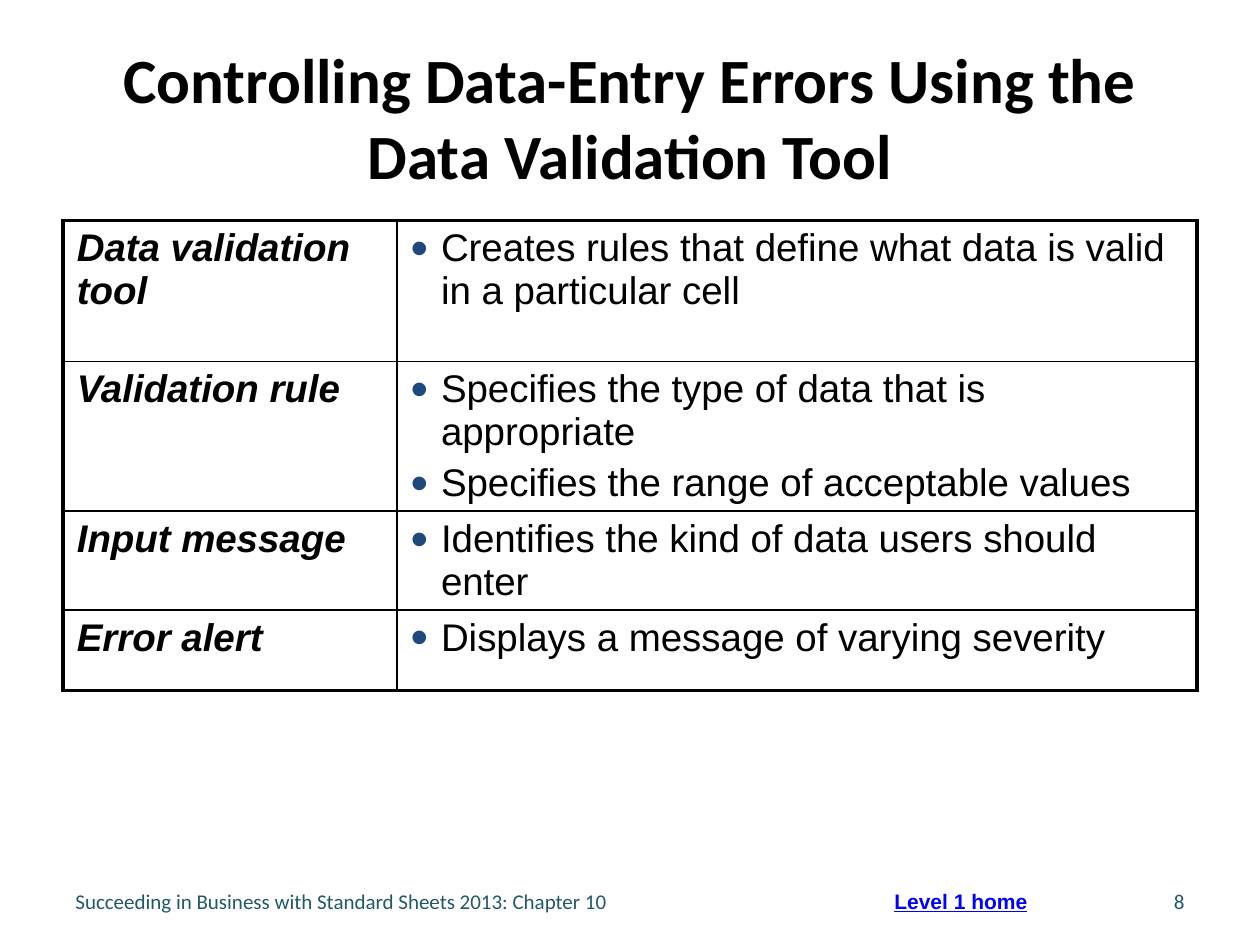
from dataclasses import dataclass

from lxml import etree
from pptx import Presentation
from pptx import util as u
from pptx.dml.color import RGBColor
from pptx.enum import text
from pptx.oxml import ns

# Content
TITLE = "Controlling Data-Entry Errors Using the Data Validation Tool"
TERMS = [
    ("Data validation tool",
     ["Creates rules that define what data is valid in a particular cell"]),
    ("Validation rule",
     ["Specifies the type of data that is appropriate",
      "Specifies the range of acceptable values"]),
    ("Input message", ["Identifies the kind of data users should enter"]),
    ("Error alert", ["Displays a message of varying severity"]),
]
FOOTER = "Succeeding in Business with Standard Sheets 2013: Chapter 10"
PAGE_NUMBER = "8"
HOME_LABEL = "Level 1 home"


@dataclass(frozen=True)
class Theme:
    ink: str = "000000"
    paper: str = "FFFFFF"
    bullet: str = "1F497D"
    footer: str = "215968"
    link: str = "0000FF"
    heading_font: str = "Calibri"
    body_font: str = "Arial"
    title_size: int = 36
    body_size: int = 22
    small_size: int = 12
    outer_rule: float = 2.25
    inner_rule: float = 1


THEME = Theme()

# Grid, in inches
WIDTH, HEIGHT, MARGIN = 10, 7.5, 0.5
CONTENT = WIDTH - 2 * MARGIN
TABLE_TOP = 1.75
TERM_COLUMN = 2.65
COLUMNS = [TERM_COLUMN, CONTENT - TERM_COLUMN]
ROWS = [1.12, 1.12, 0.57, 0.64]
FOOTER_TOP, FOOTER_HEIGHT = 6.95, 0.4
INDENT = 0.24


def add_run(paragraph, words, font, size, color, bold=False, italic=False, underline=False):
    run = paragraph.add_run()
    run.text = words
    run.font.name, run.font.size = font, u.Pt(size)
    run.font.bold, run.font.italic, run.font.underline = bold, italic, underline
    run.font.color.rgb = RGBColor.from_string(color)


def add_label(slide, box, words, anchor=text.MSO_ANCHOR.MIDDLE,
              align=text.PP_ALIGN.LEFT, **style):
    frame = slide.shapes.add_textbox(*map(u.Inches, box)).text_frame
    frame.word_wrap = True
    frame.vertical_anchor = anchor
    frame.paragraphs[0].alignment = align
    add_run(frame.paragraphs[0], words, size=THEME.small_size, **style)


def add_bullet(paragraph):
    props = paragraph._p.get_or_add_pPr()
    props.set("marL", str(u.Inches(INDENT)))
    props.set("indent", str(-u.Inches(INDENT)))
    color = etree.SubElement(props, ns.qn("a:buClr"))
    etree.SubElement(color, ns.qn("a:srgbClr"), val=THEME.bullet)
    etree.SubElement(props, ns.qn("a:buSzPct"), val="130000")
    etree.SubElement(props, ns.qn("a:buFont"), typeface=THEME.body_font)
    etree.SubElement(props, ns.qn("a:buChar"), char="•")


def set_borders(cell, outer_sides):
    props = cell._tc.get_or_add_tcPr()
    for position, side in enumerate("LRTB"):
        weight = THEME.outer_rule if side in outer_sides else THEME.inner_rule
        line = etree.Element(ns.qn(f"a:ln{side}"), w=str(u.Pt(weight)))
        fill = etree.SubElement(line, ns.qn("a:solidFill"))
        etree.SubElement(fill, ns.qn("a:srgbClr"), val=THEME.ink)
        props.insert(position, line)


def fill_cell(cell, lines, is_term):
    cell.fill.background()
    cell.margin_left = cell.margin_right = u.Inches(0.11)
    cell.margin_top = cell.margin_bottom = u.Inches(0.05)
    frame = cell.text_frame
    for number, words in enumerate(lines):
        paragraph = frame.add_paragraph() if number else frame.paragraphs[0]
        paragraph.space_before = u.Pt(THEME.body_size * 0.2)
        if not is_term:
            add_bullet(paragraph)
        add_run(paragraph, words, THEME.body_font, THEME.body_size, THEME.ink,
                bold=is_term, italic=is_term)


def add_title(slide):
    title = slide.shapes.title
    title.left, title.top, title.width, title.height = map(
        u.Inches, (MARGIN, 0.3, CONTENT, 1.25))
    title.fill.solid()
    title.fill.fore_color.rgb = RGBColor.from_string(THEME.paper)
    title.line.fill.background()
    frame = title.text_frame
    frame.word_wrap = True
    frame.auto_size = text.MSO_AUTO_SIZE.NONE
    frame.vertical_anchor = text.MSO_ANCHOR.MIDDLE
    frame.paragraphs[0].alignment = text.PP_ALIGN.CENTER
    add_run(frame.paragraphs[0], TITLE, THEME.heading_font, THEME.title_size,
            THEME.ink, bold=True)


def add_terms(slide):
    table = slide.shapes.add_table(
        len(ROWS), len(COLUMNS),
        *map(u.Inches, (MARGIN, TABLE_TOP, CONTENT, sum(ROWS)))).table
    table.first_row = table.horz_banding = False
    for column, width in zip(table.columns, COLUMNS):
        column.width = u.Inches(width)
    for index, (term, meanings) in enumerate(TERMS):
        table.rows[index].height = u.Inches(ROWS[index])
        edge = {0: "T", len(TERMS) - 1: "B"}.get(index, "")
        for column, lines in enumerate(([term], meanings)):
            cell = table.cell(index, column)
            fill_cell(cell, lines, is_term=column == 0)
            set_borders(cell, edge + "LR"[column])


def add_footer(slide):
    style = dict(font=THEME.heading_font, color=THEME.footer)
    add_label(slide, (MARGIN, FOOTER_TOP, 5.92, FOOTER_HEIGHT), FOOTER, **style)
    number_width = 2.33
    add_label(slide, (WIDTH - MARGIN - number_width, FOOTER_TOP, number_width, FOOTER_HEIGHT),
              PAGE_NUMBER, align=text.PP_ALIGN.RIGHT, **style)
    add_label(slide, (7, 7, 1.58, 0.3), HOME_LABEL, anchor=text.MSO_ANCHOR.TOP,
              font=THEME.body_font, color=THEME.link, bold=True, underline=True)


def main():
    deck = Presentation()
    deck.slide_width, deck.slide_height = u.Inches(WIDTH), u.Inches(HEIGHT)
    slide = deck.slides.add_slide(deck.slide_layouts.get_by_name("Title Only"))
    add_title(slide)
    add_terms(slide)
    add_footer(slide)
    deck.save("out.pptx")


if __name__ == "__main__":
    main()
